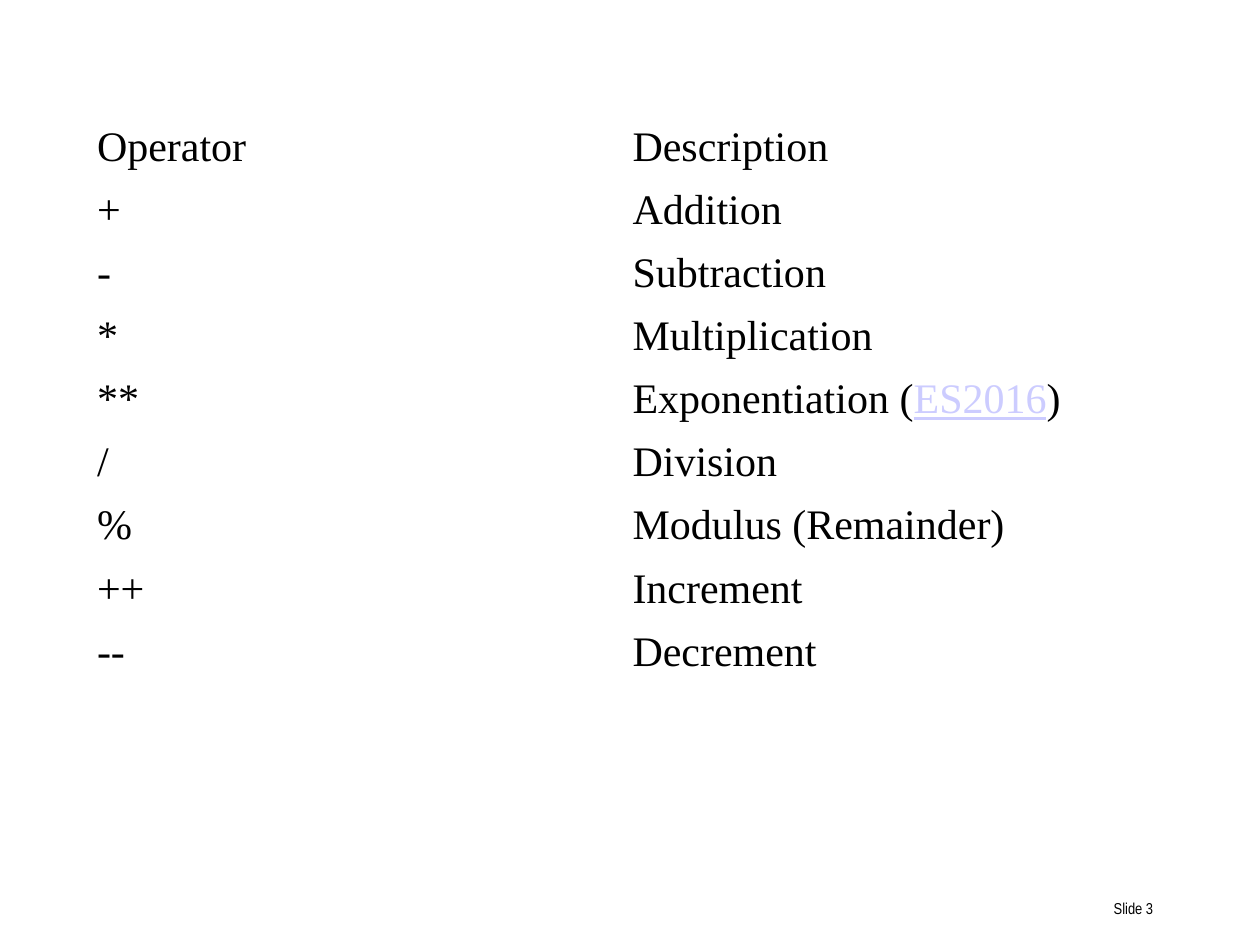
from pptx import Presentation
from pptx.dml.color import RGBColor
from pptx.enum.text import MSO_ANCHOR, PP_ALIGN
from pptx.util import Inches, Pt

BLACK = RGBColor(0x00, 0x00, 0x00)
LAVENDER = RGBColor(0xCC, 0xCC, 0xFF)

BODY = {"name": "Times New Roman", "size": Pt(24), "bold": False}
FOOTER = {"name": "Arial Narrow", "size": Pt(9)}
REFERENCE = {"underline": True}

# Each description is a list of (text, colour, extra format) runs or plain text.
OPERATORS = [
    ("Operator", "Description"),
    ("+", "Addition"),
    ("-", "Subtraction"),
    ("*", "Multiplication"),
    ("**", [("Exponentiation (", BLACK, {}),
            ("ES2016", LAVENDER, REFERENCE),
            (")", BLACK, {})]),
    ("/", "Division"),
    ("%", "Modulus (Remainder)"),
    ("++", "Increment"),
    ("--", "Decrement"),
]
TABLE_LEFT, TABLE_TOP = 0.67, 0.92
COLUMN_WIDTH, ROW_HEIGHT = 4.25, 0.5
FOOTER_BOX = (7.17, 6.83, 2.08, 0.5)


def add_run(paragraph, text, colour, formats):
    """Append one formatted run to a paragraph."""
    run = paragraph.add_run()
    run.text = text
    for name, value in formats.items():
        setattr(run.font, name, value)
    run.font.color.rgb = colour


def add_operator_table(slide):
    """Add the plain table of operators and their descriptions."""
    rows, columns = len(OPERATORS), len(OPERATORS[0])
    table = slide.shapes.add_table(
        rows, columns, Inches(TABLE_LEFT), Inches(TABLE_TOP),
        Inches(columns * COLUMN_WIDTH), Inches(rows * ROW_HEIGHT)).table
    table.first_row = table.horz_banding = False
    for row, contents in enumerate(OPERATORS):
        for column, content in enumerate(contents):
            cell = table.cell(row, column)
            cell.fill.background()
            cell.vertical_anchor = MSO_ANCHOR.MIDDLE
            runs = [(content, BLACK, {})] if isinstance(content, str) else content
            for text, colour, extra in runs:
                add_run(cell.text_frame.paragraphs[0], text, colour, BODY | extra)


def add_footer(slide):
    """Add the slide number label at the lower right."""
    frame = slide.shapes.add_textbox(*map(Inches, FOOTER_BOX)).text_frame
    frame.word_wrap = True
    frame.vertical_anchor = MSO_ANCHOR.BOTTOM
    paragraph = frame.paragraphs[0]
    paragraph.alignment = PP_ALIGN.RIGHT
    add_run(paragraph, "Slide 3", BLACK, FOOTER)


presentation = Presentation()
presentation.slide_width, presentation.slide_height = Inches(10), Inches(7.5)
slide = presentation.slides.add_slide(presentation.slide_layouts[6])
add_footer(slide)
add_operator_table(slide)
presentation.save("out.pptx")
